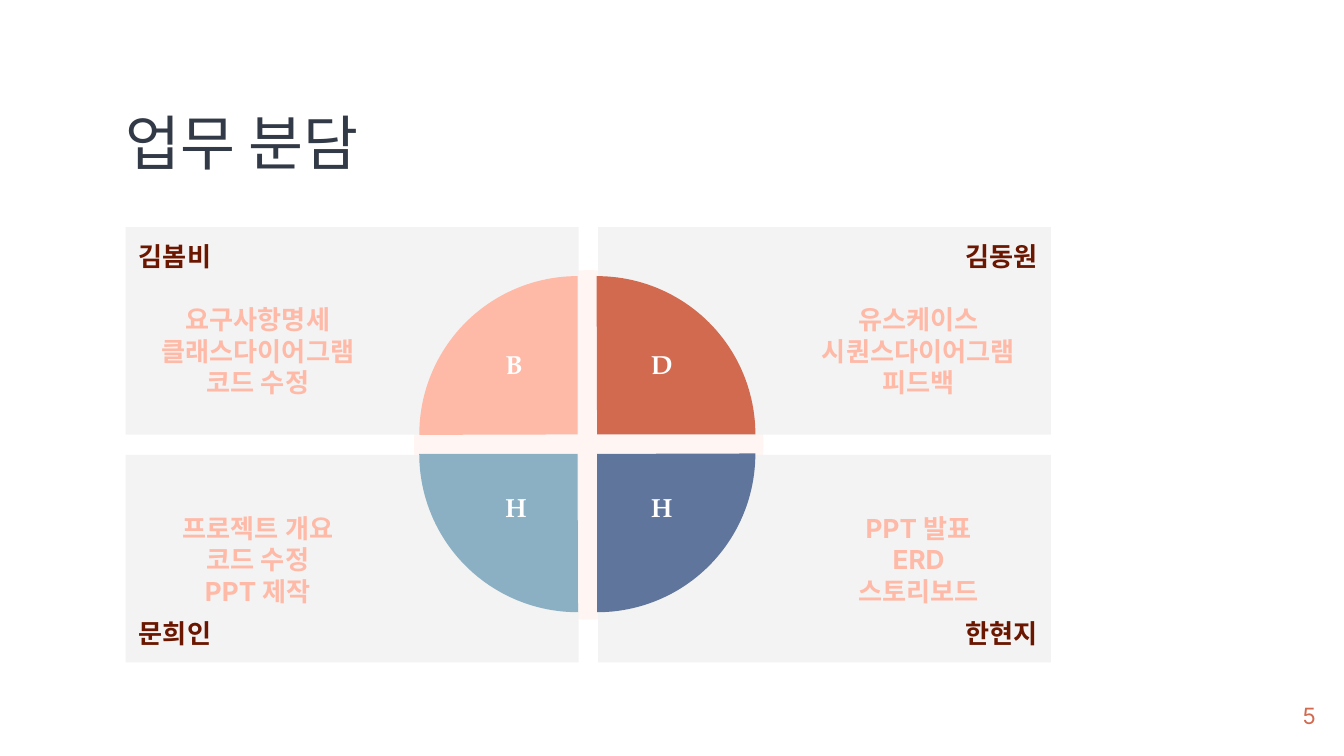
import pptx
import pptx.util
import pptx.dml.color
import pptx.enum.shapes
import pptx.enum.text
import pptx.oxml
import pptx.oxml.ns

PX = 4572  # EMU per px, 200 px to the inch
SHAPE = pptx.enum.shapes.MSO_SHAPE
ALIGN = pptx.enum.text.PP_ALIGN
ANCHOR = pptx.enum.text.MSO_ANCHOR

COLORS = {
    "title": "333A47", "name": "6A1600", "task": "FFB9A7", "panel": "F3F3F3",
    "disc": "FFF0ED", "letter": "FFFFFF", "number": "D26A50",
    "pink": "FFB9A7", "red": "D26A50", "navy": "5F759B", "sky": "8BB0C4",
}
BODY, HANGUL, SERIF = "Inter", "Noto Sans CJK KR", "TeX Gyre Pagella"


def rgb(key):
    return pptx.dml.color.RGBColor.from_string(COLORS[key])


def add_shape(s, kind, box, color):
    sp = s.shapes.add_shape(kind, *[v * PX for v in box])
    sp.shadow.inherit = False
    sp.fill.solid()
    sp.fill.fore_color.rgb = rgb(color)
    sp.line.fill.background()
    return sp


def set_frame(sp, insets, anchor):
    tf = sp.text_frame
    tf.word_wrap = True
    tf.vertical_anchor = anchor
    tf.margin_left, tf.margin_top, tf.margin_right, tf.margin_bottom = [
        v * PX for v in insets]
    return tf


def add_line(tf, text, align, size, font, color, bold=False):
    p = tf.paragraphs[0]
    if p.runs:
        p = tf.add_paragraph()
    p.alignment = align
    r = p.add_run()
    r.text = text
    r.font.size = pptx.util.Pt(size)
    r.font.name = font
    r.font.bold = bold
    r.font.color.rgb = rgb(color)
    # East Asian typeface for the Korean letters
    ea = pptx.oxml.parse_xml(
        f'<a:ea {pptx.oxml.ns.nsdecls("a")} typeface="{font}"/>')
    r.font._element.append(ea)
    return p


def add_label(s, box, text, align, size, font, color, insets=(0, 0, 0, 0),
              anchor=ANCHOR.MIDDLE, bold=False):
    tb = s.shapes.add_textbox(*[v * PX for v in box])
    tf = set_frame(tb, insets, anchor)
    return add_line(tf, text, align, size, font, color, bold)


def add_disc(s, box):
    sp = add_shape(s, SHAPE.CHORD, box, "disc")
    sp.rotation = 180
    sp.adjustments[0], sp.adjustments[1] = 2.96, 1.27
    fill_color = sp.fill._xPr.find(".//" + pptx.oxml.ns.qn("a:srgbClr"))
    fill_color.append(pptx.oxml.parse_xml(
        f'<a:alpha {pptx.oxml.ns.nsdecls("a")} val="56000"/>'))


def add_panel(s, box, name, tasks, right, bottom):
    """Member card: the name in the outer corner, tasks clear of the wheel."""
    sp = add_shape(s, SHAPE.RECTANGLE, box, "panel")
    insets = (300, 20, 20, 20) if right else (20, 20, 300, 20)
    tf = set_frame(sp, insets, ANCHOR.BOTTOM if bottom else ANCHOR.TOP)
    side = ALIGN.RIGHT if right else ALIGN.LEFT
    if not bottom:
        add_line(tf, name, side, 14, BODY, "name", True)
    for i, task in enumerate(tasks):
        p = add_line(tf, task, ALIGN.CENTER, 14, BODY, "task", True)
        if i == 0 and not bottom:
            p.space_before = pptx.util.Pt(17)
    if bottom:
        p = add_line(tf, name, side, 14, BODY, "name", True)
        p.space_before = p.space_after = pptx.util.Pt(6)


def add_panels(s, box, members):
    x, y, w, h = box
    card_w, card_h = 674, 309
    for i, (name, tasks) in enumerate(members):
        row, col = divmod(i, 2)
        card = (x + col * (w - card_w), y + row * (h - card_h), card_w, card_h)
        add_panel(s, card, name, tasks, col == 1, row == 1)


def add_wheel(s, box, quarters):
    """Four quarter pies, clockwise from top left, then their letters."""
    x, y, size, gap = box
    corners = [(0, 0), (1, 0), (1, 1), (0, 1)]
    for i, ((col, row), (color, _, _)) in enumerate(zip(corners, quarters)):
        sp = add_shape(s, SHAPE.PIE,
                       (x + col * gap, y + row * gap, size, size), color)
        sp.adjustments[0], sp.adjustments[1] = 107.89, 162
        sp.rotation = 90 * i
    for (col, row), (_, letter, center) in zip(corners, quarters):
        add_label(s, (x + center - 40, y + 98 + row * 212, 80, 88), letter,
                  ALIGN.CENTER, 14, SERIF, "letter", (0, 10, 0, 10),
                  ANCHOR.TOP, True)


def build():
    prs = pptx.Presentation()
    prs.slide_width, prs.slide_height = 2000 * PX, 1125 * PX
    s = prs.slides.add_slide(prs.slide_layouts[6])

    # Backdrop, title and page number
    add_disc(s, (616, 402, 520, 520))
    p = add_label(s, (187, 164, 414, 106), "업무 분담", ALIGN.JUSTIFY, 32,
                  HANGUL, "title")
    p.line_spacing = 0.9
    add_label(s, (1838, 1022, 120, 86), "5", ALIGN.RIGHT, 12, BODY, "number")

    # Member cards
    add_panels(s, (187, 338, 1377, 648), [
        ("김봄비", ["요구사항명세 클래스다이어그램", "코드 수정"]),
        ("김동원", ["유스케이스", "시퀀스다이어그램", "피드백"]),
        ("문희인", ["프로젝트 개요", "코드 수정", "PPT 제작"]),
        ("한현지", ["PPT 발표", "ERD", "스토리보드"]),
    ])

    # Wheel: colour, letter, letter centre from the wheel's left edge
    add_wheel(s, (624, 411, 471, 29), [
        ("pink", "B", 141), ("red", "D", 361),
        ("navy", "H", 361), ("sky", "H", 144),
    ])
    prs.save("out.pptx")


if __name__ == "__main__":
    build()
